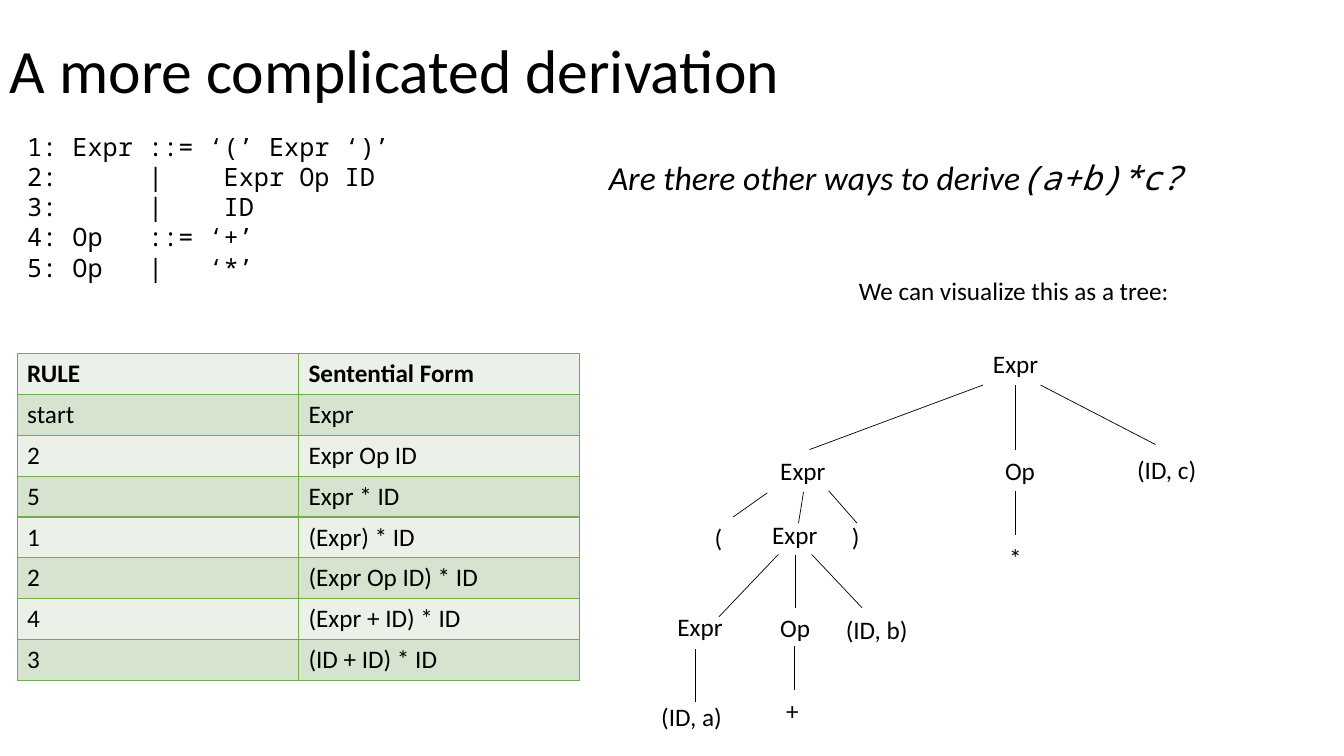
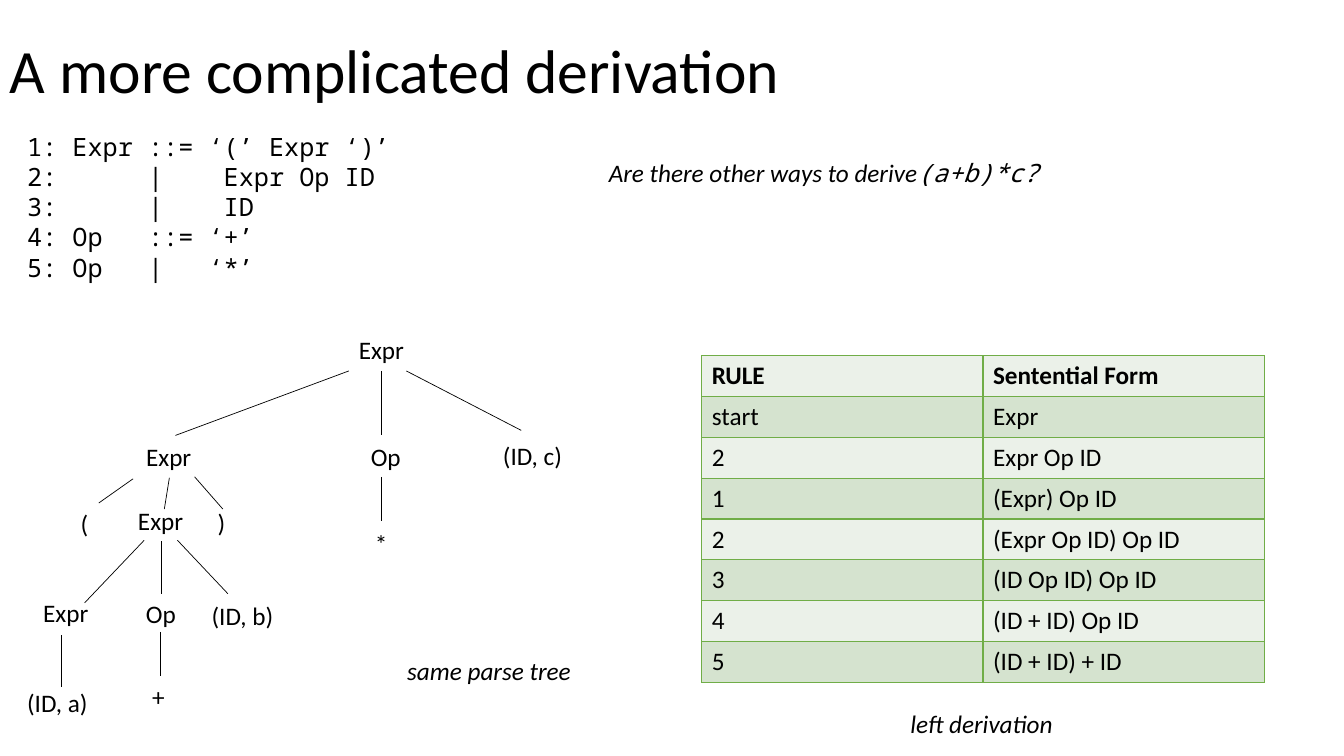
"""Two slides that compare derivations of one expression and their shared parse tree."""
import pptx
import pptx.dml.color
import pptx.enum.shapes
import pptx.enum.text
import pptx.oxml
import pptx.oxml.ns
import pptx.util

PX = 9144
INK = "000000"
BORDER = "70AD47"
ROW_FILLS = ["EBF1E9", "D5E3CF"]
LINE_HEIGHT = 40

BODY = {"name": "Calibri", "size": pptx.util.Pt(18)}
HEADER = {**BODY, "bold": True}
ITALIC = {**BODY, "italic": True}
CODE = {**BODY, "name": "Noto Sans Mono"}
CODE_ITALIC = {**CODE, "italic": True}
TITLE = {**BODY, "size": pptx.util.Pt(44)}
LARGE = {"size": pptx.util.Pt(24)}

TITLE_TEXT = "A more complicated derivation"
GRAMMAR = [
    "1: Expr ::= ‘(’ Expr ‘)’",
    "2:      |    Expr Op ID",
    "3:      |    ID",
    "4: Op   ::= ‘+’",
    "5: Op   |   ‘*’",
]
QUESTION = "Are there other ways to derive"
EXPRESSION = "(a+b)*c?"
TABLE_HEADER = ("RULE", "Sentential Form")

TREE_NODES = [
    ("Expr", 329, 0, 65),
    ("Expr", 118, 106, 65),
    ("Op", 341, 106, 50),
    ("(ID, c)", 472, 105, 80),
    ("(", 53, 172, 28),
    ("Expr", 110, 169, 65),
    (")", 189, 171, 28),
    ("*", 345, 192, 33),
    ("Expr", 16, 261, 65),
    ("Op", 118, 262, 50),
    ("(ID, b)", 183, 264, 82),
    ("(ID, a)", 0, 350, 81),
    ("+", 124, 344, 33),
]
TREE_BRANCHES = [
    (329, 41, 157, 105),
    (361, 41, 361, 105),
    (386, 41, 500, 100),
    (361, 146, 361, 190),
    (115, 148, 81, 172),
    (151, 147, 146, 178),
    (176, 146, 204, 178),
    (126, 209, 67, 271),
    (143, 210, 143, 262),
    (159, 209, 209, 262),
    (44, 303, 44, 355),
    (142, 300, 142, 344),
]

SLIDES = [
    {
        "question": (594, 50, LARGE),
        "captions": [("We can visualize this as a tree:", 842, 268, 331, BODY)],
        "tree": (646, 341),
        "table": (17, 351),
        "steps": [
            ("start", "Expr"),
            ("2", "Expr Op ID"),
            ("5", "Expr * ID"),
            ("1", "(Expr) * ID"),
            ("2", "(Expr Op ID) * ID"),
            ("4", "(Expr + ID) * ID"),
            ("3", "(ID + ID) * ID"),
        ],
    },
    {
        "question": (453, LINE_HEIGHT, {}),
        "captions": [
            ("left derivation", 893, 698, 165, ITALIC),
            ("same parse tree", 394, 645, 185, ITALIC),
        ],
        "tree": (17, 327),
        "table": (696, 353),
        "steps": [
            ("start", "Expr"),
            ("2", "Expr Op ID"),
            ("1", "(Expr) Op ID"),
            ("2", "(Expr Op ID) Op ID"),
            ("3", "(ID Op ID) Op ID"),
            ("4", "(ID + ID) Op ID"),
            ("5", "(ID + ID) + ID"),
        ],
    },
]


def color(value):
    """Turn a hex string into a colour."""
    return pptx.dml.color.RGBColor.from_string(value)


def write(frame, lines):
    """Fill a text frame with lines, each a list of (text, format) spans."""
    for index, line in enumerate(lines):
        para = frame.paragraphs[0] if index == 0 else frame.add_paragraph()
        for text, values in line:
            span = para.add_run()
            span.text = text
            span.font.color.rgb = color(INK)
            for name, value in values.items():
                setattr(span.font, name, value)


deck = pptx.Presentation()
deck.slide_width = 1333 * PX
deck.slide_height = 750 * PX

for content in SLIDES:
    page = deck.slides.add_slide(deck.slide_layouts[6])

    title = page.shapes.add_textbox(0, 0, 1150 * PX, 145 * PX).text_frame
    title.word_wrap = True
    title.vertical_anchor = pptx.enum.text.MSO_ANCHOR.MIDDLE
    write(title, [[(TITLE_TEXT, TITLE)]])
    title.paragraphs[0].line_spacing = 0.9

    question_width, question_height, size = content["question"]
    question = [(QUESTION, {**ITALIC, **size}), (EXPRESSION, {**CODE_ITALIC, **size})]
    tree_left, tree_top = content["tree"]
    texts = [
        (17, 125, 382, 162, [[(line, CODE)] for line in GRAMMAR]),
        (594, 151, question_width, question_height, [question]),
    ]
    for text, left, top, width, values in content["captions"]:
        texts.append((left, top, width, LINE_HEIGHT, [[(text, values)]]))
    for text, left, top, width in TREE_NODES:
        texts.append((tree_left + left, tree_top + top, width, LINE_HEIGHT, [[(text, BODY)]]))
    for *place, lines in texts:
        box = page.shapes.add_textbox(*[length * PX for length in place])
        box.text_frame.word_wrap = False
        box.text_frame.auto_size = pptx.enum.text.MSO_AUTO_SIZE.SHAPE_TO_FIT_TEXT
        write(box.text_frame, lines)

    for start_x, start_y, end_x, end_y in TREE_BRANCHES:
        branch = page.shapes.add_connector(
            pptx.enum.shapes.MSO_CONNECTOR.STRAIGHT,
            (tree_left + start_x) * PX,
            (tree_top + start_y) * PX,
            (tree_left + end_x) * PX,
            (tree_top + end_y) * PX,
        )
        branch.line.color.rgb = color(INK)
        branch.line.width = pptx.util.Pt(0.5)
        properties = branch.element.find(pptx.oxml.ns.qn("p:spPr"))
        properties.append(pptx.oxml.parse_xml(f"<a:effectLst {pptx.oxml.ns.nsdecls('a')}/>"))

    rows = [TABLE_HEADER, *content["steps"]]
    table_left, table_top = content["table"]
    table = page.shapes.add_table(
        len(rows), 2, table_left * PX, table_top * PX, 558 * PX, 324 * PX
    ).table
    for row_index, row in enumerate(rows):
        for column_index, text in enumerate(row):
            cell = table.cell(row_index, column_index)
            write(cell.text_frame, [[(text, BODY if row_index else HEADER)]])
            for side in ("lnL", "lnR", "lnT", "lnB"):
                edge = pptx.oxml.parse_xml(
                    f"<a:{side} {pptx.oxml.ns.nsdecls('a')} w='{pptx.util.Pt(1)}'>"
                    f"<a:solidFill><a:srgbClr val='{BORDER}'/></a:solidFill></a:{side}>"
                )
                cell._tc.get_or_add_tcPr().append(edge)
            cell.fill.solid()
            cell.fill.fore_color.rgb = color(ROW_FILLS[row_index % 2])

deck.save("out.pptx")
